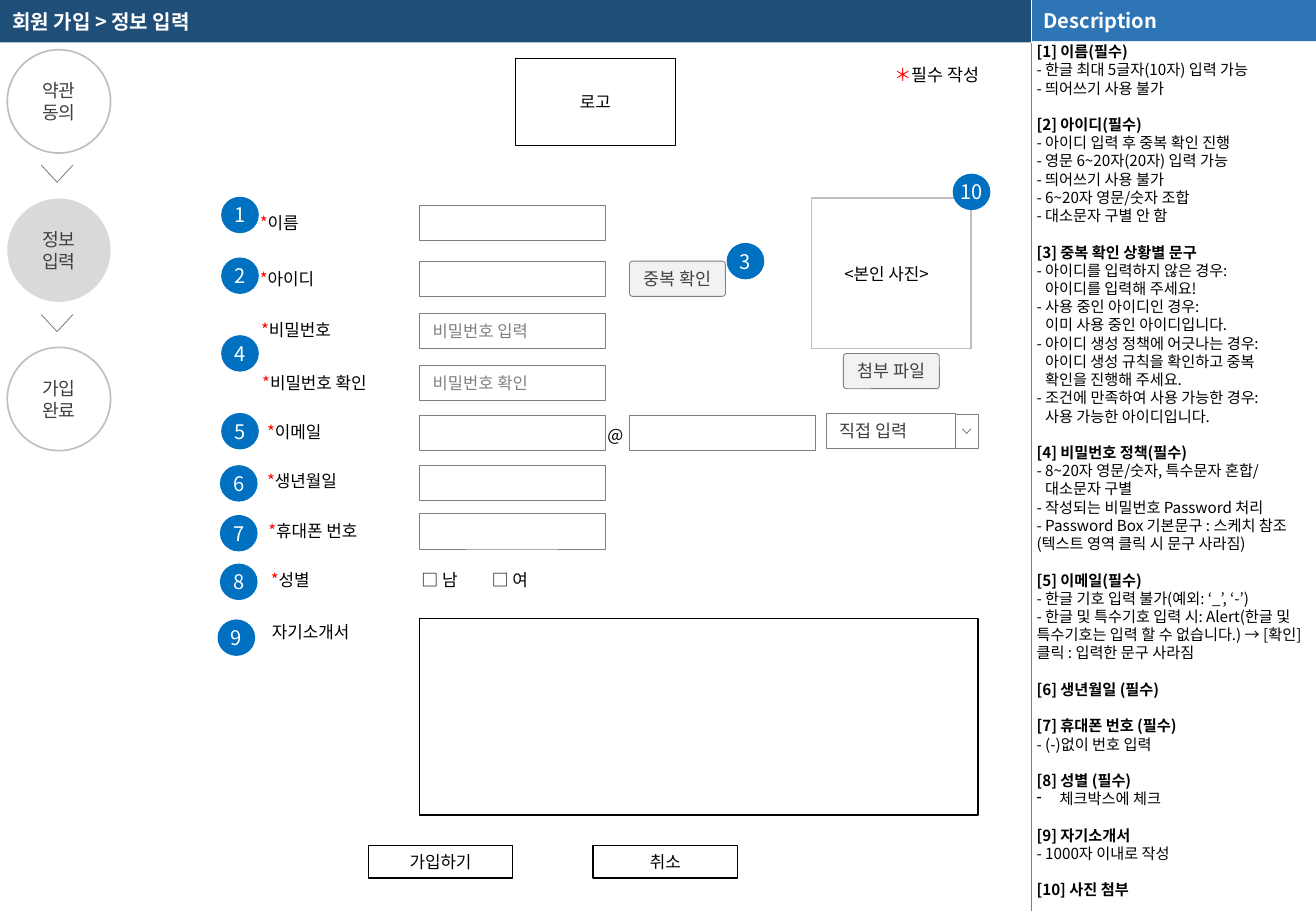
"""Build the sign-up form wireframe slide with its description panel."""
from dataclasses import dataclass
from typing import NamedTuple, Optional

from lxml import etree
from pptx import Presentation
from pptx.dml.color import RGBColor
from pptx.enum.shapes import MSO_CONNECTOR, MSO_SHAPE
from pptx.enum.text import MSO_ANCHOR, MSO_AUTO_SIZE, PP_ALIGN
from pptx.oxml.ns import qn
from pptx.util import Emu, Inches, Pt

RECT, OVAL, ROUND = MSO_SHAPE.RECTANGLE, MSO_SHAPE.OVAL, MSO_SHAPE.ROUNDED_RECTANGLE
STRAIGHT = MSO_CONNECTOR.STRAIGHT
LEFT, CENTER = PP_ALIGN.LEFT, PP_ALIGN.CENTER
TOP, MIDDLE = MSO_ANCHOR.TOP, MSO_ANCHOR.MIDDLE
NO_FIT = MSO_AUTO_SIZE.NONE

FONT = "Noto Sans CJK KR"
CELL = Inches(0.1)
COLUMNS, ROWS = 108.3, 75
PANEL_LEFT, HEADER_ROWS = 84.9, 3.5
LINE_RATIO = 1.2

WHITE = RGBColor(0xFF, 0xFF, 0xFF)
BLACK = RGBColor(0x00, 0x00, 0x00)
RED = RGBColor(0xFF, 0x00, 0x00)
NAVY = RGBColor(0x1F, 0x4E, 0x79)
BLUE = RGBColor(0x2E, 0x75, 0xB6)
BADGE_BLUE = RGBColor(0x00, 0x70, 0xC0)
DARK = RGBColor(0x40, 0x40, 0x40)
GRAY = RGBColor(0x80, 0x80, 0x80)
SILVER = RGBColor(0xBF, 0xBF, 0xBF)
LIGHT = RGBColor(0xD9, 0xD9, 0xD9)
PALE = RGBColor(0xF2, 0xF2, 0xF2)


@dataclass(frozen=True)
class Style:
    """Look of a box and of its text."""
    shape: Optional[int] = None
    size: float = 10
    color: RGBColor = BLACK
    fill: Optional[RGBColor] = None
    line: Optional[RGBColor] = None
    weight: float = 0.5
    align: PP_ALIGN = LEFT
    anchor: MSO_ANCHOR = TOP
    inset: tuple[float, float] = (1, 0.5)
    wrap: bool = True
    bold: bool = False


class Place(NamedTuple):
    """Left, top, width and height in grid cells."""
    left: float
    top: float
    width: float
    height: float


class Note(NamedTuple):
    """Description line with its margin in cells and an optional bullet."""
    text: str
    margin: float = 0
    bullet: str = ""


PLAIN = Style()
TITLE = Style(size=11.9, color=WHITE, fill=NAVY, anchor=MIDDLE, bold=True)
PANEL = Style(RECT, 11.9, WHITE, BLUE, anchor=MIDDLE, bold=True)
NOTES = Style(size=9, inset=(0.4, 0))
STEP = Style(OVAL, 10.8, DARK, line=SILVER, weight=1, align=CENTER, anchor=MIDDLE, inset=(0, 0))
ACTIVE_STEP = Style(OVAL, 10.8, DARK, LIGHT, align=CENTER, anchor=MIDDLE, inset=(0, 0))
BADGE = Style(OVAL, 11.9, WHITE, BADGE_BLUE, align=CENTER, anchor=MIDDLE, inset=(0, 0), wrap=False)
FIELD = Style(RECT, 9.8, GRAY, line=GRAY, anchor=MIDDLE, inset=(1.1, 0.6))
CHOICE = Style(RECT, 10.3, DARK, WHITE, GRAY, anchor=MIDDLE, inset=(1.1, 0.6))
SMALL_BUTTON = Style(ROUND, 10.3, DARK, PALE, GRAY, align=CENTER, anchor=MIDDLE, inset=(0.5, 0.5))
FRAME = Style(RECT, line=BLACK, weight=0.75, align=CENTER, anchor=MIDDLE)
LEGEND = Style(size=10.3)

STEPS = [(("약관", "동의"), STEP), (("정보", "입력"), ACTIVE_STEP), (("가입", "완료"), STEP)]
BADGES = [("1", 18.2, 16.2), ("2", 18.2, 21.2), ("3", 59.8, 20), ("4", 18.2, 27.6), ("5", 18.2, 34),
          ("6", 18.1, 38.3), ("7", 18.1, 42.4), ("8", 18.1, 46.4), ("9", 17.9, 51), ("10", 78.4, 14.3)]
LABELS = [("이름", 20.4, 17, 5.2), ("아이디", 20.4, 21.6, 7.5), ("비밀번호", 20.5, 25.8, 9),
          ("비밀번호 확인", 20.6, 30.2, 12), ("이메일", 21, 34.2, 7.5), ("생년월일", 21, 38.3, 9),
          ("휴대폰 번호", 21.1, 42.4, 11), ("성별", 21.3, 46.4, 5.2)]
FIELDS = [("", 34.5, 16.9), ("", 34.5, 21.5), ("비밀번호 입력", 34.5, 25.8), ("비밀번호 확인", 34.5, 30.1),
          ("", 34.5, 34.2), ("", 51.8, 34.2), ("", 34.5, 38.3), ("", 34.5, 42.3)]
BOXES = [("중복 확인", Place(51.8, 21.5, 7.9, 2.9), SMALL_BUTTON),
         ("첨부 파일", Place(69.4, 29.1, 7.9, 2.9), SMALL_BUTTON),
         ("직접 입력", Place(68, 34, 10.6, 2.9), CHOICE), ("", Place(78.6, 34.1, 1.9, 2.8), CHOICE),
         ("로고", Place(42.4, 4.8, 13.2, 7.2), FRAME), ("", Place(34.5, 50.9, 46, 16.2), FRAME),
         ("가입하기", Place(30.3, 69.6, 11.9, 2.7), FRAME), ("취소", Place(48.8, 69.6, 11.9, 2.7), FRAME),
         ("자기소개서", Place(21.4, 50.7, 10, 2.7), PLAIN), ("@", Place(49, 34.5, 3.4, 2.7), PLAIN)]
SECTIONS = [
    ("[1] 이름(필수)", [Note("- 한글 최대 5글자(10자) 입력 가능"), Note("- 띄어쓰기 사용 불가")]),
    ("[2] 아이디(필수)", [Note("- 아이디 입력 후 중복 확인 진행"), Note("- 영문 6~20자(20자) 입력 가능"),
                     Note("- 띄어쓰기 사용 불가"), Note("- 6~20자 영문/숫자 조합"), Note("- 대소문자 구별 안 함")]),
    ("[3] 중복 확인 상황별 문구", [
        Note("- 아이디를 입력하지 않은 경우:"), Note("아이디를 입력해 주세요!", 0.7),
        Note("- 사용 중인 아이디인 경우:"), Note("이미 사용 중인 아이디입니다.", 0.7),
        Note("- 아이디 생성 정책에 어긋나는 경우:"), Note("아이디 생성 규칙을 확인하고 중복", 0.7),
        Note("확인을 진행해 주세요.", 0.7), Note("- 조건에 만족하여 사용 가능한 경우:"),
        Note("사용 가능한 아이디입니다.", 0.7)]),
    ("[4] 비밀번호 정책(필수)", [
        Note("- 8~20자 영문/숫자, 특수문자 혼합/"), Note("대소문자 구별", 0.7),
        Note("- 작성되는 비밀번호 Password 처리"),
        Note("- Password Box 기본문구 : 스케치 참조 (텍스트 영역 클릭 시 문구 사라짐)")]),
    ("[5] 이메일(필수)", [
        Note("- 한글 기호 입력 불가(예외: ‘_’, ‘-’)"),
        Note("- 한글 및 특수기호 입력 시: Alert(한글 및 특수기호는 입력 할 수 없습니다.) → [확인] 클릭 : 입력한 문구 사라짐")]),
    ("[6] 생년월일 (필수)", []),
    ("[7] 휴대폰 번호 (필수)", [Note("- (-)없이 번호 입력")]),
    ("[8] 성별 (필수)", [Note("체크박스에 체크", 1.9, "-")]),
    ("[9] 자기소개서", [Note("- 1000자 이내로 작성")]),
    ("[10] 사진 첨부", []),
]


def cells(count: float) -> Emu:
    """Turn grid cells into a length."""
    return Emu(round(count * CELL))


def add_run(para, text: str, style: Style, color: Optional[RGBColor] = None, bold: bool = False) -> None:
    """Add one formatted run and set the line pitch of its paragraph."""
    para.alignment = style.align
    para.line_spacing = Pt(style.size * LINE_RATIO)
    span = para.add_run()
    span.text = text
    span.font.size = Pt(style.size)
    span.font.bold = bold or style.bold
    span.font.color.rgb = color or style.color
    span.font.name = FONT
    etree.SubElement(span.font._element, qn("a:ea")).set("typeface", FONT)


def set_frame(box, style: Style):
    """Set insets, wrapping and anchor, and return the text frame."""
    frame = box.text_frame
    frame.auto_size, frame.word_wrap, frame.vertical_anchor = NO_FIT, style.wrap, style.anchor
    frame.margin_left = frame.margin_right = cells(style.inset[0])
    frame.margin_top = frame.margin_bottom = cells(style.inset[1])
    return frame


def paint(box, style: Style) -> None:
    """Set fill, outline and shadow of a shape."""
    box.shadow.inherit = False
    if style.fill is None:
        box.fill.background()
    else:
        box.fill.solid()
        box.fill.fore_color.rgb = style.fill
    if style.line is None:
        box.line.fill.background()
    else:
        box.line.color.rgb = style.line
        box.line.width = Pt(style.weight)


def add_box(slide, place: Place, style: Style, *lines: str):
    """Draw a shape or text box with one paragraph per line and return its frame."""
    area = [cells(value) for value in place]
    if style.shape is None:
        box = slide.shapes.add_textbox(*area)
    else:
        box = slide.shapes.add_shape(style.shape, *area)
        paint(box, style)
        if style.shape == ROUND:
            box.adjustments[0] = 0.09
    frame = set_frame(box, style)
    for index, line in enumerate(filter(None, lines)):
        add_run(frame.add_paragraph() if index else frame.paragraphs[0], line, style)
    return frame


def add_chevron(slide, place: Place, style: Style) -> None:
    """Draw an open arrow pointing down."""
    left, top, width, height = (cells(value) for value in place)
    builder = slide.shapes.build_freeform(left, top)
    builder.add_line_segments([(left + width // 2, top + height), (left + width, top)], close=False)
    paint(builder.convert_to_shape(), style)


def add_rule(slide, top: float, bottom: float, color: RGBColor) -> None:
    """Draw a thin vertical line at the panel edge."""
    rule = slide.shapes.add_connector(STRAIGHT, cells(PANEL_LEFT), cells(top), cells(PANEL_LEFT), cells(bottom))
    rule.line.color.rgb = color
    rule.line.width = Pt(0.25)
    etree.SubElement(rule._element.spPr, qn("a:effectLst"))


def add_header(slide) -> None:
    """Format the title bar and draw the panel heading."""
    title = slide.shapes.title
    title.left, title.top, title.width, title.height = (
        cells(value) for value in (0, 0, PANEL_LEFT, HEADER_ROWS))
    title.fill.solid()
    title.fill.fore_color.rgb = TITLE.fill
    add_run(set_frame(title, TITLE).paragraphs[0], "회원 가입 > 정보 입력", TITLE)
    add_box(slide, Place(PANEL_LEFT, 0, COLUMNS - PANEL_LEFT, 3.4), PANEL, "Description")
    add_rule(slide, 0, HEADER_ROWS, WHITE)
    add_rule(slide, HEADER_ROWS, ROWS, GRAY)


def add_notes_panel(slide) -> None:
    """Write the numbered description sections."""
    frame = add_box(slide, Place(PANEL_LEFT, HEADER_ROWS, 23.5, 71.5), NOTES)
    for index, (heading, notes) in enumerate(SECTIONS):
        para = frame.add_paragraph() if index else frame.paragraphs[0]
        if index:
            para.space_before = Pt(NOTES.size * LINE_RATIO)
        add_run(para, heading, NOTES, bold=True)
        for note in notes:
            para = frame.add_paragraph()
            props = para._p.get_or_add_pPr()
            props.set("marL", str(cells(note.margin)))
            if note.bullet:
                props.set("indent", str(-cells(note.margin)))
                etree.SubElement(props, qn("a:buChar")).set("char", note.bullet)
            add_run(para, note.text, NOTES)


def add_photo_frame(slide) -> None:
    """Draw the one-cell photo table and its caption."""
    area = [cells(value) for value in Place(66.8, 16.3, 13.1, 12.4)]
    table = slide.shapes.add_table(1, 1, *area).table
    table.first_row = table.horz_banding = False
    cell = table.cell(0, 0)
    props = cell._tc.get_or_add_tcPr()
    for side in ("a:lnL", "a:lnR", "a:lnT", "a:lnB"):
        border = etree.SubElement(props, qn(side), w=str(Pt(1)))
        fill = etree.SubElement(border, qn("a:solidFill"))
        etree.SubElement(fill, qn("a:srgbClr"), val=str(SILVER))
    cell.fill.background()
    add_box(slide, Place(68.5, 21.2, 10.1, 2.7), PLAIN, "<본인 사진>")


def add_form(slide) -> None:
    """Draw the steps, fields, labels, buttons and badges."""
    for index, (words, style) in enumerate(STEPS):
        add_box(slide, Place(0.6, 4.1 + 12.25 * index, 8.5, 8.5), style, *words)
    for index in range(len(STEPS) - 1):
        add_chevron(slide, Place(3.4, 13.6 + 12.3 * index, 2.6, 1.4), Style(line=GRAY))
    for text, left, top in FIELDS:
        add_box(slide, Place(left, top, 15.3, 2.9), FIELD, text)
    for text, place, style in BOXES:
        add_box(slide, place, style, text)
    add_chevron(slide, Place(79.2, 35.3, 0.7, 0.4), CHOICE)
    for text, left, top, width in LABELS:
        para = add_box(slide, Place(left, top, width, 2.7), PLAIN).paragraphs[0]
        add_run(para, "*", PLAIN, RED)
        add_run(para, text, PLAIN)
    para = add_box(slide, Place(72.6, 4.8, 12, 2.7), LEGEND).paragraphs[0]
    add_run(para, "＊", LEGEND, RED)
    add_run(para, "필수 작성", LEGEND)
    para = add_box(slide, Place(33.7, 46.4, 12, 2.7), PLAIN).paragraphs[0]
    tabs = etree.SubElement(para._p.get_or_add_pPr(), qn("a:tabLst"))
    etree.SubElement(tabs, qn("a:tab"), pos=str(cells(5.8)), algn="l")
    add_run(para, "□ 남\t□ 여", PLAIN)
    add_photo_frame(slide)
    for number, left, top in BADGES:
        add_box(slide, Place(left, top, 3.1, 3), BADGE, number)


def main() -> None:
    """Build and save the deck."""
    deck = Presentation()
    deck.slide_width, deck.slide_height = cells(COLUMNS), cells(ROWS)
    page = deck.slides.add_slide(deck.slide_layouts.get_by_name("Title Only"))
    add_header(page)
    add_notes_panel(page)
    add_form(page)
    deck.save("out.pptx")


if __name__ == "__main__":
    main()
